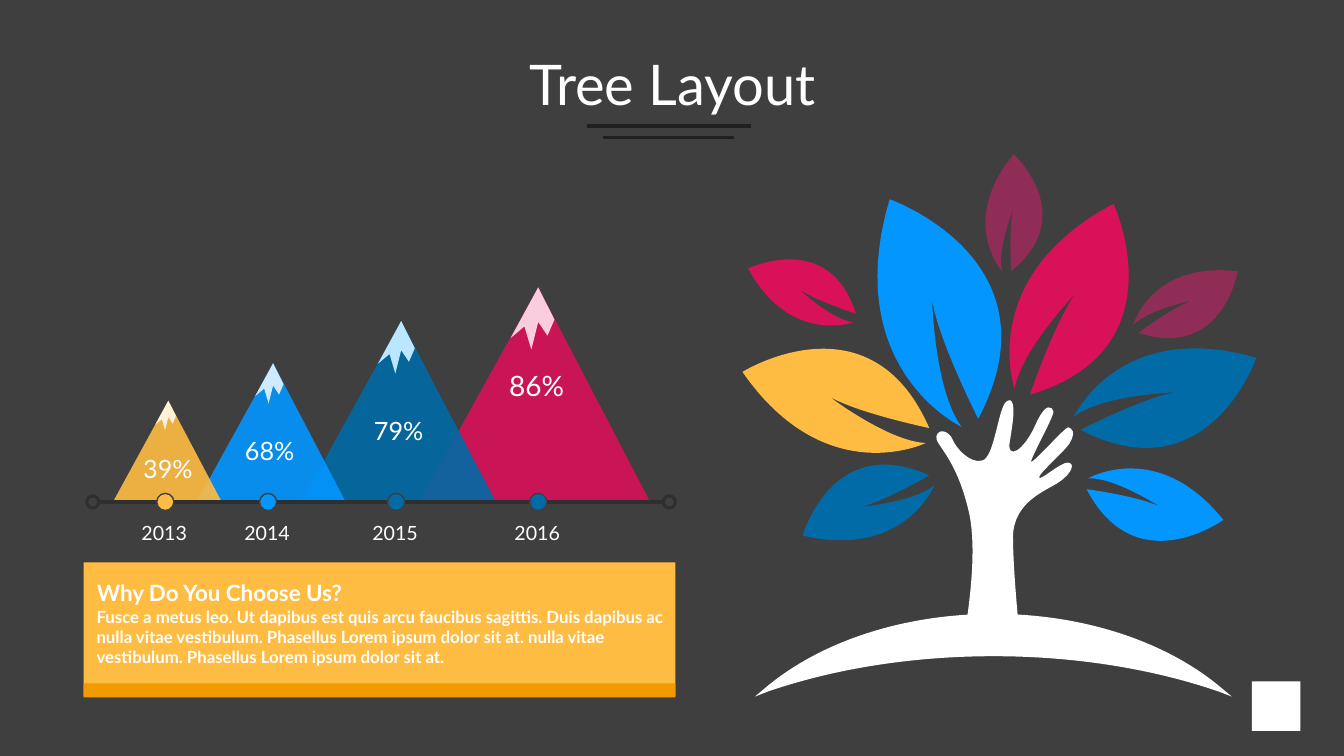
from lxml.etree import SubElement
from pptx import Presentation
from pptx.dml.color import RGBColor
from pptx.enum.shapes import MSO_CONNECTOR, MSO_SHAPE
from pptx.enum.text import MSO_ANCHOR, MSO_AUTO_SIZE, PP_ALIGN
from pptx.oxml.ns import qn
from pptx.util import Inches, Pt

CHARCOAL = RGBColor(0x3F, 0x3F, 0x3F)
AXIS_GRAY = RGBColor(0x2F, 0x2F, 0x2F)
RULE_BLACK = RGBColor(0x20, 0x20, 0x20)
WHITE = RGBColor(0xFF, 0xFF, 0xFF)
YELLOW = RGBColor(0xFF, 0xBC, 0x42)
ORANGE = RGBColor(0xF1, 0x9B, 0x00)
BLUE = RGBColor(0x04, 0x96, 0xFF)
TEAL = RGBColor(0x00, 0x6B, 0xA6)
RED = RGBColor(0xD8, 0x11, 0x59)
PURPLE = RGBColor(0x8F, 0x2D, 0x56)
PALE_YELLOW = RGBColor(0xFF, 0xF2, 0xD9)
PALE_BLUE = RGBColor(0xCD, 0xEA, 0xFF)
PALE_TEAL = RGBColor(0xBA, 0xE7, 0xFF)
PALE_RED = RGBColor(0xFB, 0xCC, 0xDD)

AXIS_Y = 4.98

# In every outline two numbers are a line's end; six are a curve's controls and end.
# The leaf lies in a square that runs from -1 to 1 both ways.
LEAF = [
    (1, 0.03), (1, 0.03, 0.38, 1, -1, 0.39), (-1, 0.39, -0.3, -1, 0.95, -0.12),
    (0.95, -0.12, 0.22, 0.14, -0.11, 0.14), (-0.11, 0.14, 0.66, 0.22, 1, 0.03),
]
LEAVES = [  # left, top, side of the square, rotation, colour
    (7.42, 2.91, 1.92, 31.4, YELLOW), (8.26, 1.91, 2.33, 82.7, BLUE),
    (9.7, 2.05, 2.05, 128.3, RED), (10.65, 3.1, 1.87, 172.4, TEAL),
    (10.71, 4.39, 1.38, 207.3, BLUE), (7.9, 4.23, 1.38, 349.2, TEAL),
    (7.44, 2.26, 1.15, 37.4, RED), (9.54, 1.57, 1.15, 105.9, PURPLE),
    (11.22, 2.5, 1.15, 162.9, PURPLE),
]
HAND = [
    (10.02, 3.97), (10.08, 3.99, 10.05, 4.19, 10.02, 4.37),
    (9.98, 4.58, 10.16, 4.47, 10.27, 4.22), (10.38, 3.97, 10.44, 4.04, 10.45, 4.08),
    (10.47, 4.11, 10.22, 4.55, 10.23, 4.58), (10.25, 4.6, 10.57, 4.23, 10.6, 4.24),
    (10.63, 4.25, 10.68, 4.28, 10.61, 4.4), (10.53, 4.51, 10.29, 4.71, 10.31, 4.74),
    (10.32, 4.77, 10.52, 4.59, 10.59, 4.59), (10.67, 4.59, 10.64, 4.69, 10.51, 4.78),
    (10.38, 4.87, 10.06, 4.97, 10.05, 5.32), (10.05, 5.56, 10.08, 5.93, 10.1, 6.14),
    (10.1, 6.15), (9.59, 6.15), (9.6, 6.09),
    (9.64, 5.79, 9.68, 5.37, 9.61, 5.07), (9.48, 4.52, 9.27, 4.41, 9.29, 4.33),
    (9.31, 4.24, 9.42, 4.28, 9.45, 4.36), (9.48, 4.44, 9.62, 4.6, 9.74, 4.57),
    (9.87, 4.55, 9.9, 4.03, 9.99, 3.98), (10.01, 3.97, 10.02, 3.97, 10.02, 3.97),
]
HILL = [
    (9.86, 6.09), (10.76, 6.09, 11.57, 6.37, 12.1, 6.81), (12.22, 6.91), (12.09, 6.86),
    (11.45, 6.64, 10.68, 6.51, 9.86, 6.51), (9.03, 6.51, 8.26, 6.64, 7.62, 6.86),
    (7.49, 6.91), (7.61, 6.81), (8.14, 6.37, 8.95, 6.09, 9.86, 6.09),
]

# Snow offsets from the peak, as shares of the mountain's width.
SNOW = [(0.07, 0.14), (0, 0), (-0.12, 0.22), (-0.06, 0.17),
        (-0.03, 0.27), (0, 0.15), (0.04, 0.21)]
MOUNTAINS = [  # left, width, peak, colour, snow colour
    (4.16, 2.29, 5.34, RED, PALE_RED), (2.99, 1.93, 3.98, TEAL, PALE_TEAL),
    (1.95, 1.48, 2.71, BLUE, PALE_BLUE), (1.12, 1.08, 1.67, YELLOW, PALE_YELLOW),
]
YEARS = [  # year, label left, marker colour, share, share left, share top, size
    ("2013", 1.3, YELLOW, "39%", 1.32, 4.45, 18),
    ("2014", 2.32, BLUE, "68%", 2.33, 4.27, 18),
    ("2015", 3.59, TEAL, "79%", 3.61, 4.07, 18),
    ("2016", 5, TEAL, "86%", 4.95, 3.61, 20),
]
LABEL_EXTENTS = {14: (0.66, 0.34), 18: (0.69, 0.4), 20: (0.75, 0.44)}


def write(frame, text, size, bold=False, align=PP_ALIGN.LEFT, spacing=None,
          font="Lato", color=WHITE):
    paragraph = frame.paragraphs[0]
    paragraph.alignment = align
    paragraph.line_spacing = spacing
    run = paragraph.add_run()
    run.text = text
    run.font.name = font
    run.font.size = Pt(size)
    run.font.bold = bold
    run.font.color.rgb = color


def bend(shape, segments):
    """Merge the three lines that stand for each curve into one cubic curve."""
    lines = iter(list(shape._element.iter(qn("a:lnTo"))))
    for segment in segments[1:]:
        line = next(lines)
        if len(segment) == 6:
            line.tag = qn("a:cubicBezTo")
            for extra in (next(lines), next(lines)):
                line.append(extra[0])
                extra.getparent().remove(extra)


class TreeSlide:
    def __init__(self, presentation):
        self.slide = presentation.slides.add_slide(presentation.slide_layouts[5])
        self.shapes = self.slide.shapes
        self.slide.background.fill.solid()
        self.slide.background.fill.fore_color.rgb = CHARCOAL

    def title(self, text):
        title = self.shapes.title
        title.left, title.top = Inches(0.92), Inches(0.48)
        title.width, title.height = Inches(11.5), Inches(0.78)
        title.text_frame.vertical_anchor = MSO_ANCHOR.MIDDLE
        write(title.text_frame, text, 40, align=PP_ALIGN.CENTER, spacing=0.9)

    def paint(self, shape, fill, line=None, line_width=1, opacity=100):
        shape.shadow.inherit = False
        shape.fill.solid()
        shape.fill.fore_color.rgb = fill
        if opacity < 100:
            color = shape._element.spPr.find(qn("a:solidFill"))[0]
            SubElement(color, qn("a:alpha")).set("val", str(opacity * 1000))
        if line is None:
            shape.line.fill.background()
        else:
            shape.line.color.rgb = line
            shape.line.width = Pt(line_width)

    def outline(self, segments, fill, opacity=100):
        points = [(Inches(x), Inches(y)) for segment in segments
                  for x, y in zip(segment[::2], segment[1::2])]
        builder = self.shapes.build_freeform(*points[0])
        builder.add_line_segments(points[1:], close=True)
        shape = builder.convert_to_shape()
        bend(shape, segments)
        self.paint(shape, fill, opacity=opacity)
        return shape

    def leaf(self, left, top, side, rotation, color):
        half = side / 2
        corner = (left, top)
        segments = [tuple(corner[i % 2] + half * (1 + value)
                          for i, value in enumerate(segment)) for segment in LEAF]
        self.outline(segments, color).rotation = rotation

    def mountain(self, left, width, peak_x, color, snow_color):
        peak_y = AXIS_Y - 0.93 * width
        self.outline([(left, AXIS_Y), (left + width, AXIS_Y), (peak_x, peak_y)],
                     color, opacity=90)
        self.outline([(peak_x + dx * width, peak_y + dy * width) for dx, dy in SNOW],
                     snow_color)

    def rectangle(self, left, top, width, height, fill):
        shape = self.shapes.add_shape(MSO_SHAPE.RECTANGLE, Inches(left), Inches(top),
                                      Inches(width), Inches(height))
        self.paint(shape, fill)

    def dot(self, center, diameter, fill, line, line_width):
        shape = self.shapes.add_shape(
            MSO_SHAPE.OVAL, Inches(center - diameter / 2), Inches(AXIS_Y - diameter / 2),
            Inches(diameter), Inches(diameter))
        self.paint(shape, fill, line, line_width)

    def rule(self, left, right, y, color):
        line = self.shapes.add_connector(MSO_CONNECTOR.STRAIGHT, Inches(left), Inches(y),
                                         Inches(right), Inches(y))
        line.line.color.rgb = color
        line.line.width = Pt(2.25)
        SubElement(line._element.spPr, qn("a:effectLst"))

    def label(self, left, top, width, height, text, size, wrap=True, **text_format):
        box = self.shapes.add_textbox(Inches(left), Inches(top),
                                      Inches(width), Inches(height))
        frame = box.text_frame
        frame.word_wrap = wrap
        frame.auto_size = MSO_AUTO_SIZE.SHAPE_TO_FIT_TEXT
        write(frame, text, size, **text_format)
        return frame

    def chart_label(self, left, top, text, size):
        self.label(left, top, *LABEL_EXTENTS[size], text, size, wrap=False,
                   align=PP_ALIGN.CENTER)


def main():
    presentation = Presentation()
    presentation.slide_width, presentation.slide_height = Inches(40 / 3), Inches(7.5)
    page = TreeSlide(presentation)

    page.rectangle(12.42, 6.76, 0.48, 0.49, WHITE)
    page.title("Tree Layout")

    page.outline(HAND, WHITE)
    for leaf in LEAVES:
        page.leaf(*leaf)
    page.outline(HILL, WHITE)

    for mountain in MOUNTAINS:
        page.mountain(*mountain)
    page.rule(0.98, 6.59, AXIS_Y, AXIS_GRAY)
    for axis_end in (0.92, 6.64):
        page.dot(axis_end, 0.12, CHARCOAL, AXIS_GRAY, 2.25)
    for year, left, color, share, share_left, share_top, size in YEARS:
        page.dot(left + 0.34, 0.17, color, CHARCOAL, 1)
        page.chart_label(left, 5.12, year, 14)
        page.chart_label(share_left, share_top, share, size)

    page.rule(5.82, 7.45, 1.25, RULE_BLACK)
    page.rule(5.98, 7.28, 1.36, RULE_BLACK)
    page.rectangle(0.83, 5.58, 5.87, 1.33, YELLOW)
    page.label(0.86, 5.97, 5.84, 0.71,
               "Fusce a metus leo. Ut dapibus est quis arcu faucibus sagittis. Duis dapibus "
               "ac nulla vitae vestibulum. Phasellus Lorem ipsum dolor sit at. nulla vitae "
               "vestibulum. Phasellus Lorem ipsum dolor sit at.", 12, bold=True)
    heading = page.label(0.92, 5.63, 2.72, 0.78, "Why Do You Choose Us?", 16,
                         bold=True, spacing=1.25)
    heading.margin_left = heading.margin_right = Inches(0.04)
    page.rectangle(0.83, 6.78, 5.87, 0.14, ORANGE)

    presentation.save("out.pptx")


if __name__ == "__main__":
    main()
